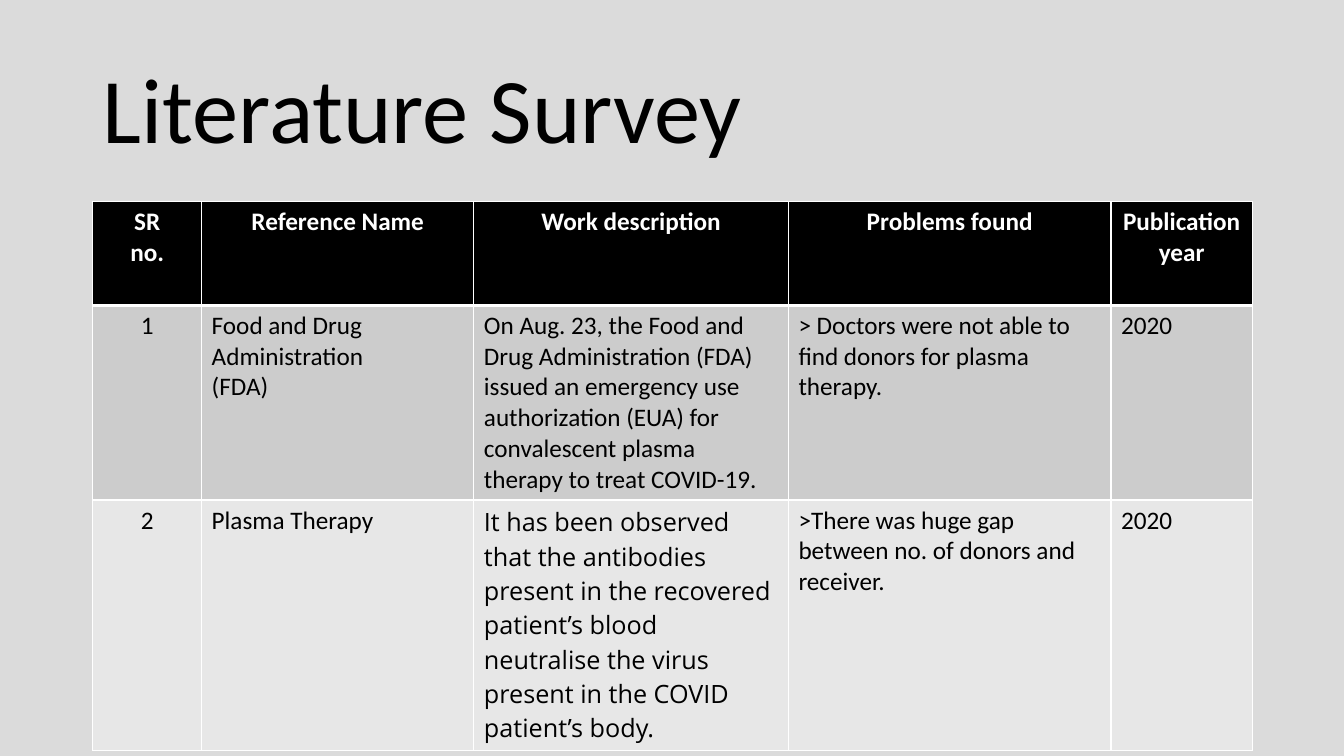
from lxml import etree
from pptx import Presentation
from pptx.dml.color import RGBColor
from pptx.enum.text import MSO_ANCHOR, MSO_AUTO_SIZE, PP_ALIGN
from pptx.oxml.ns import qn
from pptx.util import Inches, Pt

LEFT, CENTER = PP_ALIGN.LEFT, PP_ALIGN.CENTER
MIDDLE = MSO_ANCHOR.MIDDLE
NO_AUTOFIT = MSO_AUTO_SIZE.NONE
TITLE_ONLY = 5

BLACK, WHITE = "000000", "FFFFFF"
BACKGROUND = "DBDBDB"
ROW_FILLS = [BLACK, "CCCCCC", "E7E7E7"]
COLUMN_WIDTHS = [1.08, 2.7, 3.12, 3.2, 1.4]
ROW_HEIGHTS = [1.03, 1.72, 1.72]
TITLE_BOX = (0.92, 0.4, 11.5, 1.45)
TABLE_BOX = (0.92, 2, 11.5, 4.47)
TABLE_FONT = {"name": "Calibri", "size": Pt(18)}
WORK_COLUMN = 2

SURVEY = [
    ["SR\nno.", "Reference Name", "Work description", "Problems found",
     "Publication year"],
    ["1", "Food and Drug Administration\n(FDA)",
     "On Aug. 23, the Food and Drug Administration (FDA) issued an emergency "
     "use authorization (EUA) for convalescent plasma therapy to treat COVID-19.",
     "> Doctors were not able to find donors for plasma therapy.", "2020"],
    ["2", "Plasma Therapy",
     "It has been observed that the antibodies present in the recovered "
     "patient’s blood neutralise the virus present in the COVID patient’s body.",
     ">There was huge gap between no. of donors and receiver.", "2020"],
]


def color(hex_value):
    return RGBColor.from_string(hex_value)


def set_attributes(target, values):
    for name, value in values.items():
        setattr(target, name, value)


def write_text(text_frame, text, alignment, font_values, font_color):
    """Fill the frame with one formatted paragraph per line of text."""
    text_frame.text = text
    for paragraph in text_frame.paragraphs:
        paragraph.alignment = alignment
        for run in paragraph.runs:
            set_attributes(run.font, font_values)
            run.font.color.rgb = color(font_color)


def set_borders(cell, widths):
    """Draw white borders; widths maps L, R, T and B, in this order, to points."""
    properties = cell._tc.get_or_add_tcPr()
    for side, width in widths.items():
        line = etree.SubElement(properties, qn(f"a:ln{side}"), w=str(Pt(width)))
        fill = etree.SubElement(line, qn("a:solidFill"))
        etree.SubElement(fill, qn("a:srgbClr"), val=WHITE)


def add_title(slide, box):
    title = slide.shapes.title
    left, top, width, height = map(Inches, box)
    set_attributes(title, {"left": left, "top": top, "width": width, "height": height})
    set_attributes(title.text_frame, {"vertical_anchor": MIDDLE, "word_wrap": True,
                                      "auto_size": NO_AUTOFIT})
    write_text(title.text_frame, "Literature Survey", LEFT,
               {"name": "Calibri", "size": Pt(66)}, BLACK)
    title.text_frame.paragraphs[0].line_spacing = 0.9


def format_cell(cell, text, row, column):
    is_header = row == 0
    font_values = {**TABLE_FONT, "bold": is_header}
    if row == 2 and column == WORK_COLUMN:
        font_values["name"] = "Open Sans"
    alignment = CENTER if is_header or column == 0 else LEFT
    write_text(cell.text_frame, text, alignment, font_values,
               WHITE if is_header else BLACK)
    set_borders(cell, {"L": 1, "R": 1, "T": 3 if row == 1 else 1,
                       "B": 3 if is_header else 1})
    cell.fill.solid()
    cell.fill.fore_color.rgb = color(ROW_FILLS[row])


def add_survey_table(slide, box):
    table = slide.shapes.add_table(len(SURVEY), len(COLUMN_WIDTHS),
                                   *map(Inches, box)).table
    for column, width in zip(table.columns, COLUMN_WIDTHS):
        column.width = Inches(width)
    for row, height in zip(table.rows, ROW_HEIGHTS):
        row.height = Inches(height)
    for row, texts in enumerate(SURVEY):
        for column, text in enumerate(texts):
            format_cell(table.cell(row, column), text, row, column)


def main():
    presentation = Presentation()
    presentation.slide_width = Inches(13.33)
    presentation.slide_height = Inches(7.5)
    slide = presentation.slides.add_slide(presentation.slide_layouts[TITLE_ONLY])
    slide.background.fill.solid()
    slide.background.fill.fore_color.rgb = color(BACKGROUND)
    add_title(slide, TITLE_BOX)
    add_survey_table(slide, TABLE_BOX)
    presentation.save("out.pptx")


if __name__ == "__main__":
    main()
